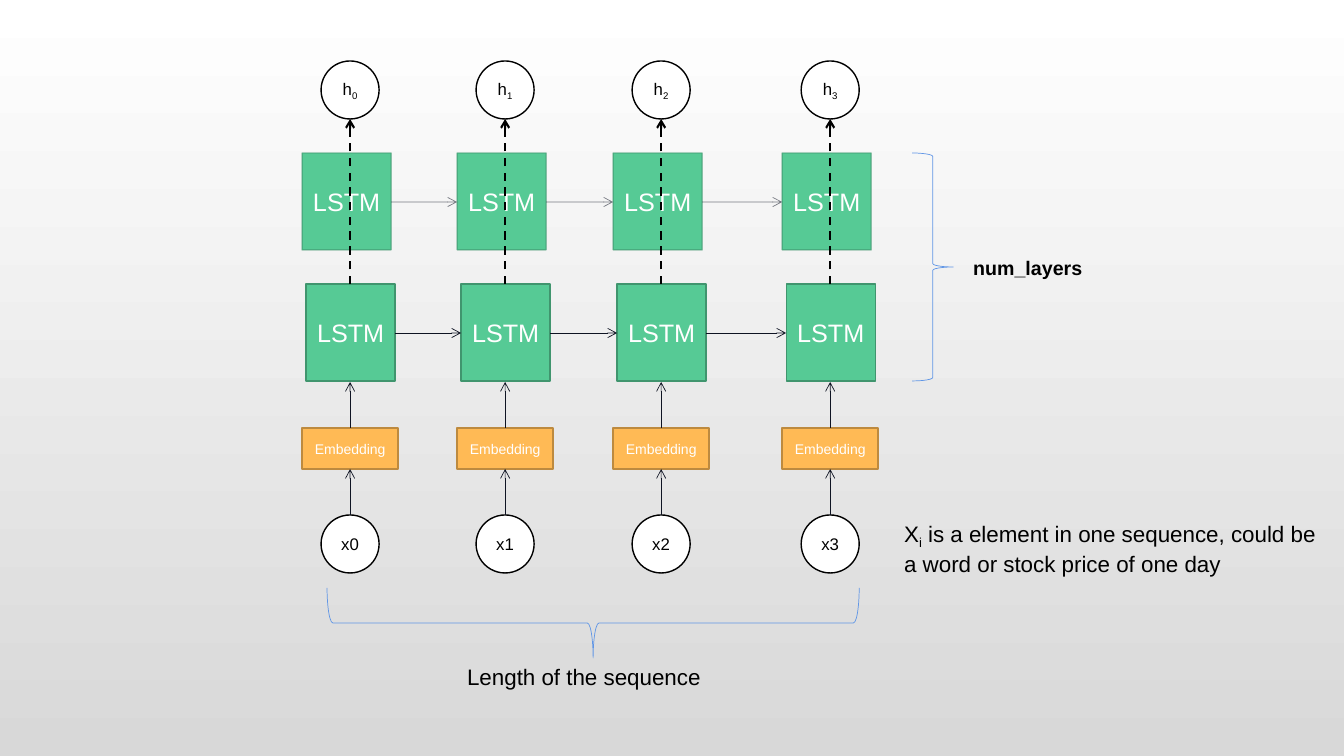
"""Build a slide of a two-layer LSTM unrolled over a four-step sequence."""
from itertools import pairwise
from pptx import Presentation
from pptx import util as u
from pptx.dml.color import RGBColor
from pptx.enum import dml, shapes, text
from pptx.oxml.ns import qn
from lxml import etree

PX = 914400 / 100.8
rgb = RGBColor.from_string


def outline(item, colour, width, alpha=100):
    item.line.color.rgb = rgb(colour)
    item.line.width = u.Pt(width)
    if alpha < 100:
        tint = item.line._ln.find(".//" + qn("a:srgbClr"))
        etree.SubElement(tint, qn("a:alpha")).set("val", str(alpha * 1000))


def write(frame, parts, size, colour, bold=False):
    frame.word_wrap = True
    for index, part in enumerate(parts):
        run = frame.paragraphs[0].add_run()
        run.text = part
        run.font.name = "Arial"
        run.font.size = u.Pt(size)
        run.font.bold = bold
        run.font.color.rgb = rgb(colour)
        if index == 1:
            run._r.get_or_add_rPr().set("baseline", "-25000")


deck = Presentation()
deck.slide_width, deck.slide_height = u.Inches(13.33), u.Inches(7.5)
slide = deck.slides.add_slide(deck.slide_layouts[6])
backdrop = slide.background.fill
backdrop.gradient()
backdrop.gradient_angle = 270
for stop, colour in zip(backdrop.gradient_stops, ("FFFFFF", "D8D8D8")):
    stop.color.rgb = rgb(colour)

steps = (350, 505, 661, 830)
box, circle = shapes.MSO_SHAPE.RECTANGLE, shapes.MSO_SHAPE.OVAL
nodes = []
for i, x in enumerate(steps):
    nodes += [
        (box, x - 48, 153, 89, 97, "56CA95", "40956E", 54, ["LSTM"], 18, "FFFFFF"),
        (box, x - 44, 284, 89, 97, "56CA95", "40956E", 100, ["LSTM"], 18, "FFFFFF"),
        (box, x - 48, 428, 96, 41, "FFBA55", "BD8A3F", 100, ["Embedding"], 10, "FFFFFF"),
        (circle, x - 29, 515, 58, 58, "FFFFFF", "000000", 100, [f"x{i}"], 12, "000000"),
        (circle, x - 29, 61, 58, 58, "FFFFFF", "000000", 100, ["h", str(i)], 12, "000000"),
    ]
for kind, x, y, w, h, fill, edge, alpha, parts, size, colour in nodes:
    node = slide.shapes.add_shape(kind, *(u.Emu(int(v * PX)) for v in (x, y, w, h)))
    node.shadow.inherit = False
    node.fill.solid()
    node.fill.fore_color.rgb = rgb(fill)
    outline(node, edge, 1, alpha)
    frame = node.text_frame
    frame.margin_left = frame.margin_right = 0
    frame.vertical_anchor = text.MSO_ANCHOR.MIDDLE
    frame.paragraphs[0].alignment = text.PP_ALIGN.CENTER
    write(frame, parts, size, colour)

arrows = []
for x in steps:
    arrows += [
        (x, 515, x, 469, "0F1423", 0.5, 100),
        (x, 428, x, 382, "0F1423", 0.5, 100),
        (x, 284, x, 119, "000000", 1.5, 100),
    ]
for here, after in pairwise(steps):
    arrows += [
        (here + 41, 202, after - 48, 202, "0F1423", 0.5, 54),
        (here + 45, 333, after - 44, 333, "0F1423", 0.5, 100),
    ]
for *ends, colour, width, alpha in arrows:
    arrow = slide.shapes.add_connector(
        shapes.MSO_CONNECTOR.STRAIGHT, *(u.Emu(int(v * PX)) for v in ends))
    outline(arrow, colour, width, alpha)
    if width > 1:
        arrow.line.dash_style = dml.MSO_LINE.DASH
    etree.SubElement(arrow.line._ln, qn("a:tailEnd")).set("type", "arrow")
    etree.SubElement(arrow._element.spPr, qn("a:effectLst"))

for *area, turn in ((558, 357, 70, 532, 90), (912, 153, 41, 228, 0)):
    brace = slide.shapes.add_shape(
        shapes.MSO_SHAPE.RIGHT_BRACE, *(u.Emu(int(v * PX)) for v in area))
    brace.rotation = turn
    brace.shadow.inherit = False
    brace.fill.background()
    outline(brace, "6096E6", 0.5)

captions = (
    (457, 658, 345, 37, ["Length of the sequence"], 16, False),
    (894, 515, 435, 65, ["X", "i", " is a element in one sequence, could be "
                         "a word or stock price of one day"], 16, False),
    (963, 251, 345, 34, ["num_layers"], 14, True),
)
for *area, parts, size, bold in captions:
    caption = slide.shapes.add_textbox(*(u.Emu(int(v * PX)) for v in area))
    write(caption.text_frame, parts, size, "000000", bold)

deck.save("out.pptx")
